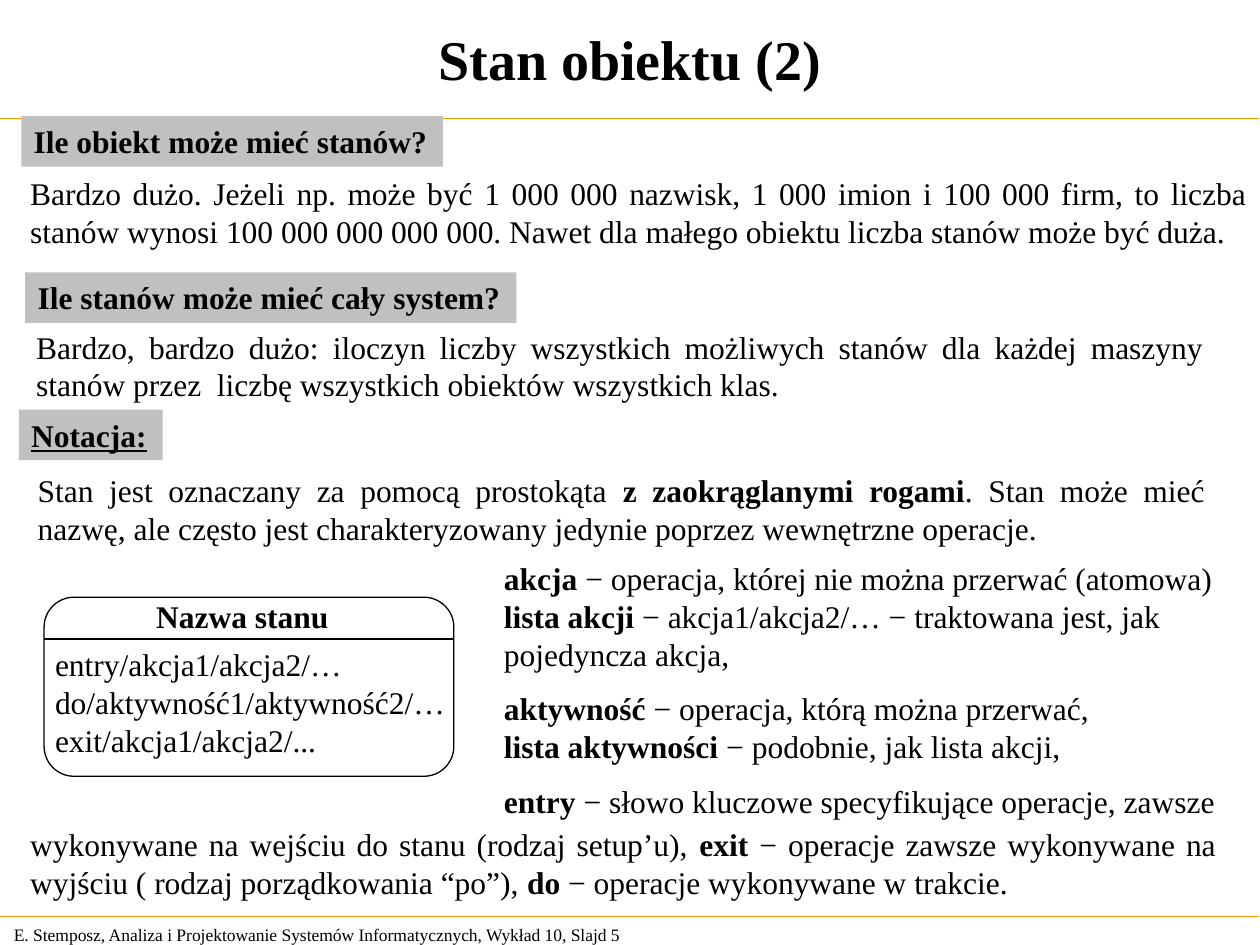
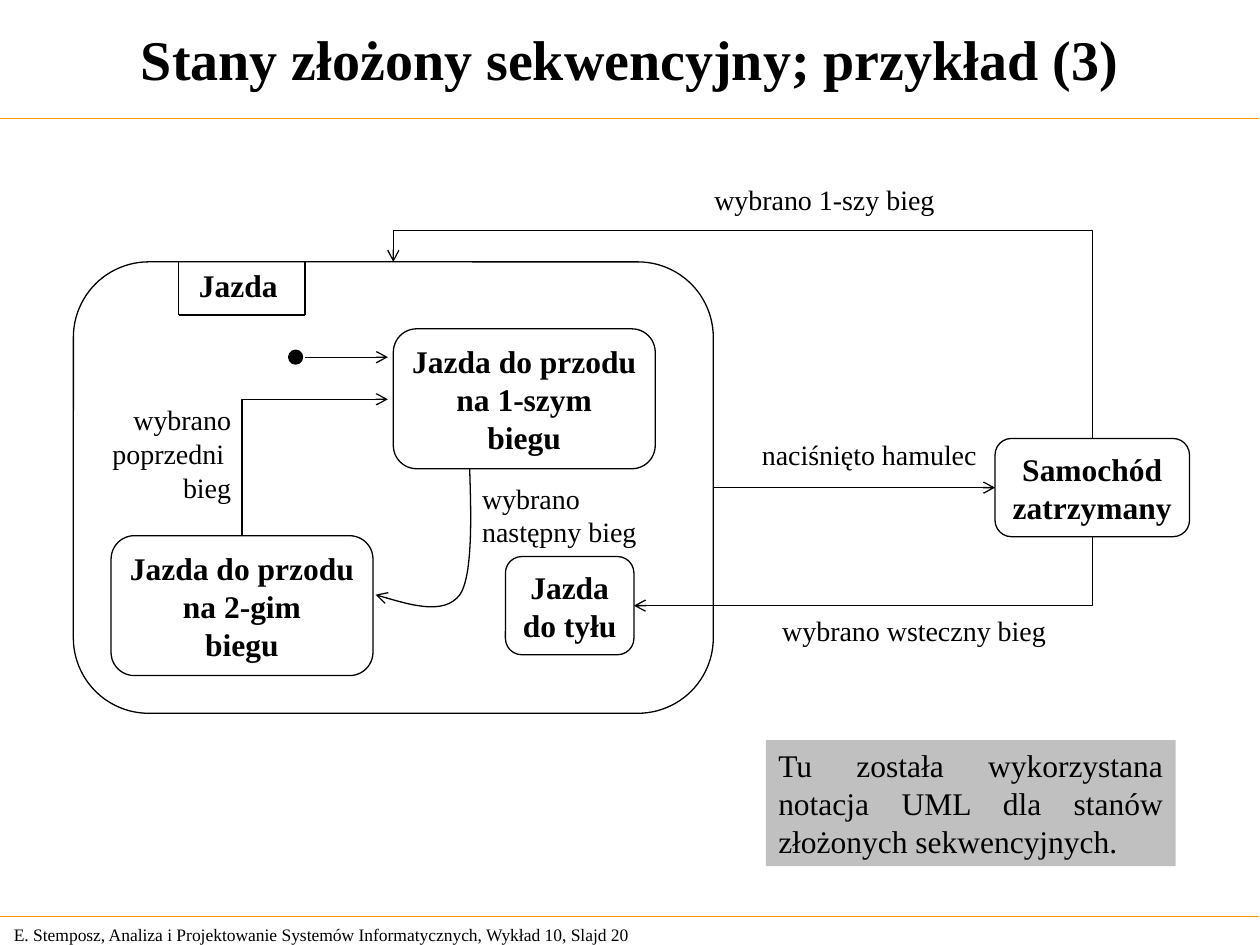
from dataclasses import dataclass

from lxml.etree import SubElement
from pptx import Presentation
from pptx.dml.color import RGBColor
from pptx.enum.shapes import MSO_CONNECTOR, MSO_SHAPE
from pptx.enum.text import MSO_ANCHOR as Anchor, MSO_AUTO_SIZE as AutoSize, PP_ALIGN as Align
from pptx.oxml.ns import qn
from pptx.util import Cm, Pt

BLACK = RGBColor(0x00, 0x00, 0x00)
WHITE = RGBColor(0xFF, 0xFF, 0xFF)
GRAY = RGBColor(0xC0, 0xC0, 0xC0)
ORANGE = RGBColor(0xFF, 0x99, 0x00)
FONT = "Times New Roman"
FOOTER = "E. Stemposz, Analiza i Projektowanie Systemów Informatycznych, Wykład 10, Slajd {}"
WIDTH, HEIGHT = 25.4, 19.05
RULES_Y = (2.39, 18.48)
CORNER = 0.167
Point = tuple[float, float]


@dataclass
class Block:
    """Text with its frame in centimetres; **…** marks bold runs."""
    left: float
    top: float
    width: float
    height: float
    lines: tuple[str, ...]
    size: float = 18
    bold: bool = False
    underline: bool = False
    align: Align = Align.LEFT
    wrap: bool = False
    fill: RGBColor | None = None
    anchor: Anchor = Anchor.TOP
    gaps: tuple[int, ...] = ()  # lines that start a new group


@dataclass
class State:
    """Rounded state box in centimetres."""
    left: float
    top: float
    width: float
    height: float
    lines: tuple[str, ...] = ()


# Shared drawing
def write(tf, block: Block) -> None:
    tf.vertical_anchor = block.anchor
    for i, line in enumerate(block.lines):
        p = tf.paragraphs[0] if i == 0 else tf.add_paragraph()
        p.alignment = block.align
        p.space_before = Pt(9.6 if i in block.gaps else 0)
        f = p.font
        f.name, f.size, f.bold = FONT, Pt(block.size), block.bold
        f.color.rgb = BLACK
        if block.underline:
            f.underline = True
        for j, part in enumerate(line.split("**")):
            if part:
                r = p.add_run()
                r.text = part
                if j % 2:
                    r.font.bold = True


def add_block(shapes, block: Block):
    frame = [Cm(v) for v in (block.left, block.top, block.width, block.height)]
    if block.fill is None:
        sp = shapes.add_textbox(*frame)
    else:
        sp = shapes.add_shape(MSO_SHAPE.RECTANGLE, *frame)
        sp.shadow.inherit = False
        sp.fill.solid()
        sp.fill.fore_color.rgb = block.fill
        sp.line.fill.background()
    tf = sp.text_frame
    tf.word_wrap = block.wrap
    tf.auto_size = AutoSize.SHAPE_TO_FIT_TEXT
    write(tf, block)
    return sp


def add_state(shapes, state: State):
    frame = (state.left, state.top, state.width, state.height)
    sp = shapes.add_shape(MSO_SHAPE.ROUNDED_RECTANGLE, *map(Cm, frame))
    sp.adjustments[0] = CORNER
    sp.shadow.inherit = False
    sp.fill.solid()
    sp.fill.fore_color.rgb = WHITE
    style_line(sp)
    if state.lines:
        sp.text_frame.word_wrap = False
        write(sp.text_frame, Block(*frame, state.lines, bold=True,
                                   align=Align.CENTER, anchor=Anchor.MIDDLE))
    return sp


def style_line(sp, color: RGBColor = BLACK, arrow: bool = False) -> None:
    sp.line.color.rgb = color
    sp.line.width = Pt(0.75)
    if arrow:
        ln = sp._element.spPr.find(qn("a:ln"))
        SubElement(ln, qn("a:tailEnd"), type="arrow", w="med", len="med")


def add_line(shapes, start: Point, end: Point, color: RGBColor = BLACK, arrow: bool = False):
    cxn = shapes.add_connector(MSO_CONNECTOR.STRAIGHT, *map(Cm, start + end))
    style_line(cxn, color, arrow)
    SubElement(cxn._element.spPr, qn("a:effectLst"))
    return cxn


def add_path(shapes, points: list[Point]):
    """Open outline through the points, with an arrowhead at the last one."""
    (x, y), *rest = [(Cm(px), Cm(py)) for px, py in points]
    builder = shapes.build_freeform(x, y)
    builder.add_line_segments(rest, close=False)
    sp = builder.convert_to_shape()
    sp.shadow.inherit = False
    sp.fill.background()
    style_line(sp, arrow=True)
    return sp


def bezier(a: Point, b: Point, c: Point, d: Point, steps: int = 16) -> list[Point]:
    """Points along a cubic curve, without its first point."""
    def at(t: float, k: int) -> float:
        u = 1 - t
        return u**3 * a[k] + 3 * u * u * t * b[k] + 3 * u * t * t * c[k] + t**3 * d[k]
    return [(at(i / steps, 0), at(i / steps, 1)) for i in range(1, steps + 1)]


def new_slide(prs, title: str, number: int):
    s = prs.slides.add_slide(prs.slide_layouts[5])
    add_block(s.shapes, Block(0.03, 18.49, 13.5, 0.69, (FOOTER.format(number),),
                              size=10, wrap=True, anchor=Anchor.MIDDLE))
    for y in RULES_Y:
        add_line(s.shapes, (-0.03, y), (WIDTH - 0.03, y), ORANGE)
    box = Block(0.1, 0.1, 25.2, 2.16, (title,), size=32, bold=True,
                align=Align.CENTER, anchor=Anchor.MIDDLE)
    sp = s.shapes.title
    sp.left, sp.top, sp.width, sp.height = map(Cm, (box.left, box.top, box.width, box.height))
    sp.text_frame.auto_size = AutoSize.NONE
    write(sp.text_frame, box)
    return s


def heading(left: float, top: float, width: float, text: str, underline: bool = False) -> Block:
    return Block(left, top, width, 1.02, (text,), bold=True, underline=underline, fill=GRAY)


def passage(left: float, top: float, width: float, text: str) -> Block:
    return Block(left, top, width, 1.78, (text,), align=Align.JUSTIFY, wrap=True)


def object_state_slide(prs) -> None:
    shapes = new_slide(prs, "Stan obiektu (2)", 5).shapes

    # Questions, answers and notation
    for block in (
        heading(0.38, 8.26, 2.9, "Notacja:", underline=True),
        passage(0.51, 9.37, 24.03,
                "Stan jest oznaczany za pomocą prostokąta **z zaokrąglanymi rogami**. Stan może "
                "mieć nazwę, ale często jest charakteryzowany jedynie poprzez wewnętrzne operacje."),
        heading(0.43, 2.34, 8.5, "Ile obiekt może mieć stanów?"),
        passage(0.36, 3.38, 25.04,
                "Bardzo dużo. Jeżeli np. może być 1 000 000 nazwisk, 1 000 imion i 100 000 firm, "
                "to liczba stanów wynosi 100 000 000 000 000. Nawet dla małego obiektu liczba "
                "stanów może być duża."),
        heading(0.51, 5.49, 9.9, "Ile stanów może mieć cały system?"),
        passage(0.48, 6.48, 24.05,
                "Bardzo, bardzo dużo: iloczyn liczby wszystkich możliwych stanów dla każdej "
                "maszyny stanów przez  liczbę wszystkich obiektów wszystkich klas."),
        passage(0.36, 16.51, 24.41,
                "wykonywane na wejściu do stanu (rodzaj setup’u), **exit **− operacje zawsze "
                "wykonywane na wyjściu ( rodzaj porządkowania “po”), **do **− operacje "
                "wykonywane w trakcie."),
    ):
        add_block(shapes, block)

    # State symbol
    symbol = shapes.add_group_shape().shapes
    add_state(symbol, State(0.89, 12.04, 8.26, 3.61))
    add_block(symbol, Block(2.9, 11.91, 4.2, 1.02, ("Nazwa stanu",), bold=True))
    add_block(symbol, Block(0.86, 12.88, 8.6, 2.54, (
        "entry/akcja1/akcja2/…", "do/aktywność1/aktywność2/…", "exit/akcja1/akcja2/...")))
    add_line(symbol, (0.89, 12.88), (9.15, 12.88))

    # Definitions
    add_block(shapes, Block(9.91, 11.15, 15.1, 5.51, (
        "**akcja **− operacja, której nie można przerwać (atomowa)",
        "**lista akcji** − akcja1/akcja2/… − traktowana jest, jak",
        "pojedyncza akcja,",
        "**aktywność **− operacja, którą można przerwać,",
        "**lista aktywności** − podobnie, jak lista akcji,",
        "**entry **− słowo kluczowe specyfikujące operacje, zawsze",
    ), gaps=(3, 5)))


def sequential_state_slide(prs) -> None:
    shapes = new_slide(prs, "Stany złożony sekwencyjny; przykład (3)", 20).shapes

    # States
    driving, stopped, *_ = [add_state(shapes, state) for state in (
        State(1.48, 5.28, 12.9, 9.1),
        State(20.06, 8.84, 3.92, 1.98, ("Samochód", "zatrzymany")),
        State(7.93, 6.63, 5.28, 2.82, ("Jazda do przodu", "na 1-szym", "biegu")),
        State(2.24, 10.8, 5.28, 2.82, ("Jazda do przodu", "na 2-gim", "biegu")),
        State(10.19, 11.22, 2.59, 1.98, ("Jazda", "do tyłu")),
    )]

    # Name tab of the composite state
    left, right, top, bottom = 3.6, 6.15, 5.28, 6.35
    add_line(shapes, (left, top), (left, bottom))
    add_line(shapes, (right, top), (right, bottom))
    add_line(shapes, (left, bottom), (right, bottom))
    add_block(shapes, Block(3.76, 5.23, 2.3, 1.02, ("Jazda",), bold=True))

    # Initial state
    dot = shapes.add_shape(MSO_SHAPE.OVAL, Cm(5.82), Cm(7.06), Cm(0.28), Cm(0.28))
    dot.shadow.inherit = False
    dot.fill.solid()
    dot.fill.fore_color.rgb = BLACK
    style_line(dot)
    add_line(shapes, (6.15, 7.2), (7.82, 7.2), arrow=True)

    # Transitions
    brake = add_line(shapes, (14.38, 9.83), (20.06, 9.83), arrow=True)
    brake.begin_connect(driving, 3)
    brake.end_connect(stopped, 1)
    gear_up = (9.47, 9.45)
    bend = (9.27, 11.99)
    for points in (
        [(4.88, 10.8), (4.88, 8.05), (7.82, 8.05)],
        [(22.02, 10.82), (22.02, 12.21), (12.78, 12.21)],
        [(22.02, 8.84), (22.02, 4.65), (7.93, 4.65), (7.93, 5.28)],
        [gear_up, *bezier(gear_up, (9.47, 9.83), (9.58, 11.56), bend),
         *bezier(bend, (8.94, 12.42), (8.26, 12.19), (7.57, 11.99))],
    ):
        add_path(shapes, points)

    # Transition labels
    for label in (
        Block(1.81, 8, 3.1, 2.29, ("wybrano", "poprzedni ", "bieg"), 16, align=Align.RIGHT),
        Block(9.47, 9.58, 3.9, 1.63, ("wybrano", "następny bieg"), 16),
        Block(15.52, 12.24, 6.1, 0.94, ("wybrano wsteczny bieg",), 16),
        Block(15.11, 8.69, 4.9, 0.94, ("naciśnięto hamulec",), 16),
        Block(14.15, 3.56, 5.2, 0.94, ("wybrano 1-szy bieg",), 16),
    ):
        add_block(shapes, label)

    # Remark
    add_block(shapes, Block(
        15.44, 14.92, 8.26, 2.54,
        ("Tu została wykorzystana notacja UML dla stanów złożonych sekwencyjnych.",),
        align=Align.JUSTIFY, wrap=True, fill=GRAY))


def main() -> None:
    prs = Presentation()
    prs.slide_width, prs.slide_height = Cm(WIDTH), Cm(HEIGHT)
    object_state_slide(prs)
    sequential_state_slide(prs)
    prs.save("out.pptx")


if __name__ == "__main__":
    main()
